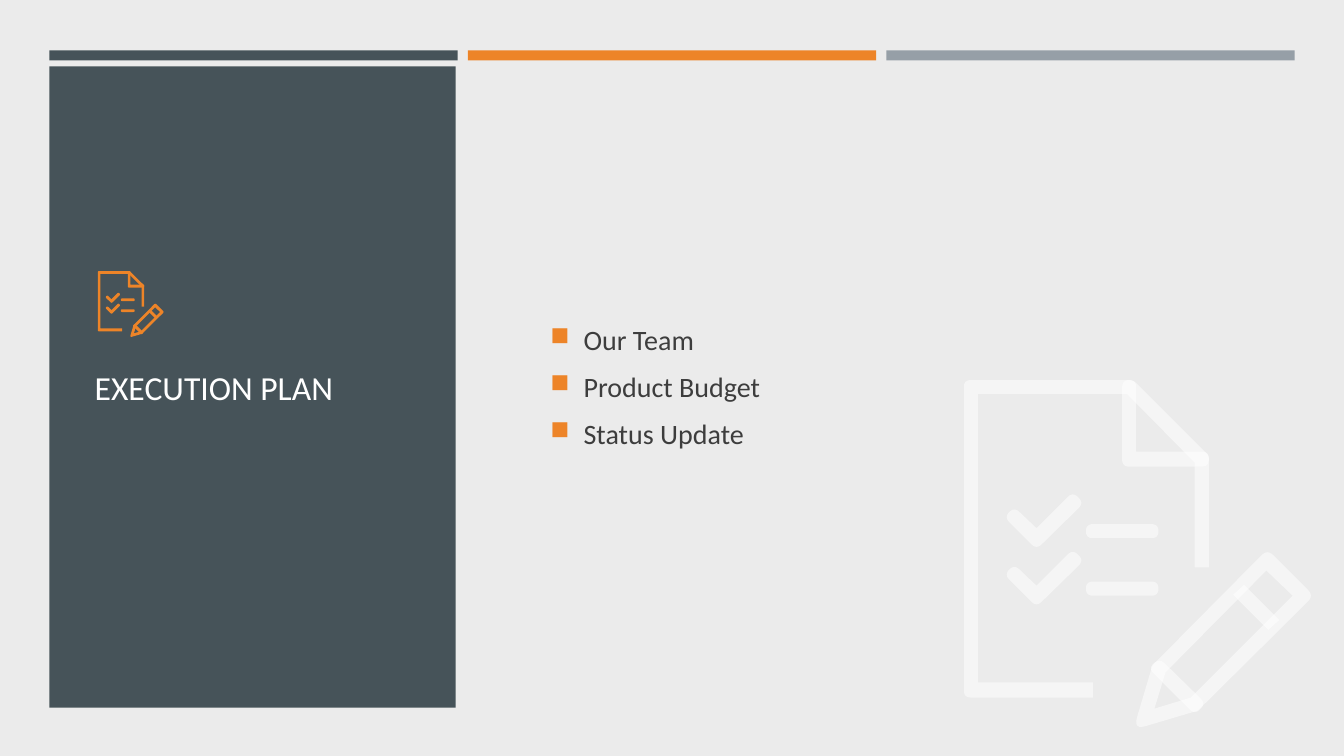
from dataclasses import dataclass

from lxml import etree
from pptx import Presentation
from pptx.dml.color import RGBColor
from pptx.enum.shapes import MSO_SHAPE as Shape
from pptx.enum.text import MSO_ANCHOR as Anchor
from pptx.oxml.ns import qn
from pptx.util import Inches, Pt


@dataclass(frozen=True)
class Theme:
    background: str = "EBEBEB"
    slate: str = "465359"
    orange: str = "ED8428"
    gray: str = "969FA7"
    white: str = "FFFFFF"
    text: str = "3D3D3D"
    font: str = "Calibri"
    title_size: int = 24
    body_size: int = 20


# Checklist-and-pencil icon in hundredths of an inch at full size.
# A corner is (x, y) or (x, y, length trimmed off each side for rounding).
ICON_SIZE = 343
ROW_STEP = 57
PRECISION = 100

PAGE = [(128, 315), (0, 315, 7), (0, 0, 7), (168, 0, 5), (243, 75, 2), (243, 186),
        (229, 186), (229, 82), (162, 14), (14, 14), (14, 300), (128, 300)]
FOLD = [(157, 0, 7), (171, 0, 7), (171, 71), (243, 71, 7), (243, 86, 7), (157, 86, 7)]
CHECK = [(40, 136, 7), (50, 126, 7), (72, 147), (108, 111, 7), (119, 122, 7), (72, 168, 7)]
DASH = [(121, 143, 7), (193, 143, 7), (193, 157, 7), (121, 157, 7)]
PENCIL = [(168, 347, 13), (187, 283, 3), (301, 168, 8), (347, 214, 8), (232, 328, 2)]
PENCIL_HOLE = [(200, 290), (189, 326), (225, 315), (326, 214), (300, 189)]
PENCIL_BAND = [(302, 248), (267, 213), (278, 203), (313, 238)]
PENCIL_NECK = [(183, 286, 7), (194, 276, 7), (240, 321, 7), (229, 332, 7)]


def shift_down(corners, distance):
    return [(x, y + distance, *trim) for x, y, *trim in corners]


# Each piece is a list of contours
ICON_PIECES = [
    [PENCIL, PENCIL_HOLE], [PENCIL_BAND], [PENCIL_NECK],
    [DASH], [shift_down(DASH, ROW_STEP)],
    [CHECK], [shift_down(CHECK, ROW_STEP)],
    [PAGE], [FOLD],
]


def toward(start, end, distance):
    """Point at a distance from start on the way to end."""
    dx, dy = end[0] - start[0], end[1] - start[1]
    share = distance / (dx * dx + dy * dy) ** 0.5
    return start[0] + dx * share, start[1] + dy * share


def round_corners(corners, steps=6):
    points = []
    for index, (x, y, *trim) in enumerate(corners):
        if not trim:
            points.append((x, y))
            continue
        before = toward((x, y), corners[index - 1], trim[0])
        after = toward((x, y), corners[(index + 1) % len(corners)], trim[0])
        for step in range(steps + 1):
            t = step / steps
            points.append(tuple(
                (1 - t) ** 2 * a + 2 * t * (1 - t) * b + t * t * c
                for a, b, c in zip(before, (x, y), after)))
    return [(px * PRECISION, py * PRECISION) for px, py in points]


class SlideBuilder:
    def __init__(self, slide, theme):
        self.slide = slide
        self.theme = theme
        fill = slide.background.fill
        fill.solid()
        fill.fore_color.rgb = RGBColor.from_string(theme.background)

    def paint(self, shape, color, opacity=100):
        shape.shadow.inherit = False
        shape.fill.solid()
        shape.fill.fore_color.rgb = RGBColor.from_string(color)
        shape.line.fill.background()
        if opacity < 100:
            color_element = shape.fill._xPr.find(qn("a:solidFill"))[0]
            alpha = etree.SubElement(color_element, qn("a:alpha"))
            alpha.set("val", str(opacity * 1000))

    def rectangle(self, left, top, width, height, color):
        shape = self.slide.shapes.add_shape(
            Shape.RECTANGLE, Inches(left), Inches(top), Inches(width), Inches(height))
        self.paint(shape, color)

    def text(self, lines, left, top, width, height, *, size, color,
             bullet=None, indent=0, before=0, after=0):
        box = self.slide.shapes.add_textbox(
            Inches(left), Inches(top), Inches(width), Inches(height))
        frame = box.text_frame
        frame.word_wrap = True
        frame.vertical_anchor = Anchor.MIDDLE
        for index, line in enumerate(lines):
            paragraph = frame.paragraphs[0] if index == 0 else frame.add_paragraph()
            if bullet:
                self.bullet(paragraph, bullet, indent)
            paragraph.space_before = Pt(before if index else 0)
            paragraph.space_after = Pt(after)
            run = paragraph.add_run()
            run.text = line
            run.font.name = self.theme.font
            run.font.size = Pt(size)
            run.font.color.rgb = RGBColor.from_string(color)

    def bullet(self, paragraph, symbol, indent):
        properties = paragraph._p.get_or_add_pPr()
        properties.set("marL", str(Inches(indent)))
        properties.set("indent", str(-Inches(indent)))
        color = etree.SubElement(properties, qn("a:buClr"))
        etree.SubElement(color, qn("a:srgbClr")).set("val", self.theme.orange)
        etree.SubElement(properties, qn("a:buSzPct")).set("val", "92000")
        etree.SubElement(properties, qn("a:buChar")).set("char", symbol)

    def icon(self, left, top, size, color, opacity=100):
        group = self.slide.shapes.add_group_shape()
        scale = Inches(size) / (ICON_SIZE * PRECISION)
        for contours in ICON_PIECES:
            first, *holes = [round_corners(contour) for contour in contours]
            builder = group.shapes.build_freeform(*first[0], scale=scale)
            builder.add_line_segments(first[1:], close=True)
            for hole in holes:
                builder.move_to(*hole[0])
                builder.add_line_segments(hole[1:], close=True)
            shape = builder.convert_to_shape(Inches(left), Inches(top))
            self.paint(shape, color, opacity)


def main():
    theme = Theme()
    presentation = Presentation()
    presentation.slide_width = Inches(13.33)
    presentation.slide_height = Inches(7.5)
    slide = presentation.slides.add_slide(presentation.slide_layouts[6])
    builder = SlideBuilder(slide, theme)

    # Top bars and title panel
    for column, color in enumerate((theme.slate, theme.orange, theme.gray)):
        builder.rectangle(0.49 + 4.15 * column, 0.5, 4.05, 0.1, color)
    builder.rectangle(0.49, 0.66, 4.03, 6.36, theme.slate)

    # Agenda and title
    builder.text(["Our Team", "Product Budget", "Status Update"], 5.36, 1.29, 7.27, 5.09,
                 size=theme.body_size, color=theme.text,
                 bullet="■", indent=0.33, before=3.6, after=6)
    builder.text(["EXECUTION PLAN"], 0.84, 2.9, 3.32, 1.88,
                 size=theme.title_size, color=theme.white)

    # Small icon above the title, large pale icon in the corner
    builder.icon(0.97, 2.69, 0.65, theme.orange)
    builder.icon(9.56, 3.77, 3.43, theme.white, opacity=50)

    presentation.save("out.pptx")


if __name__ == "__main__":
    main()
